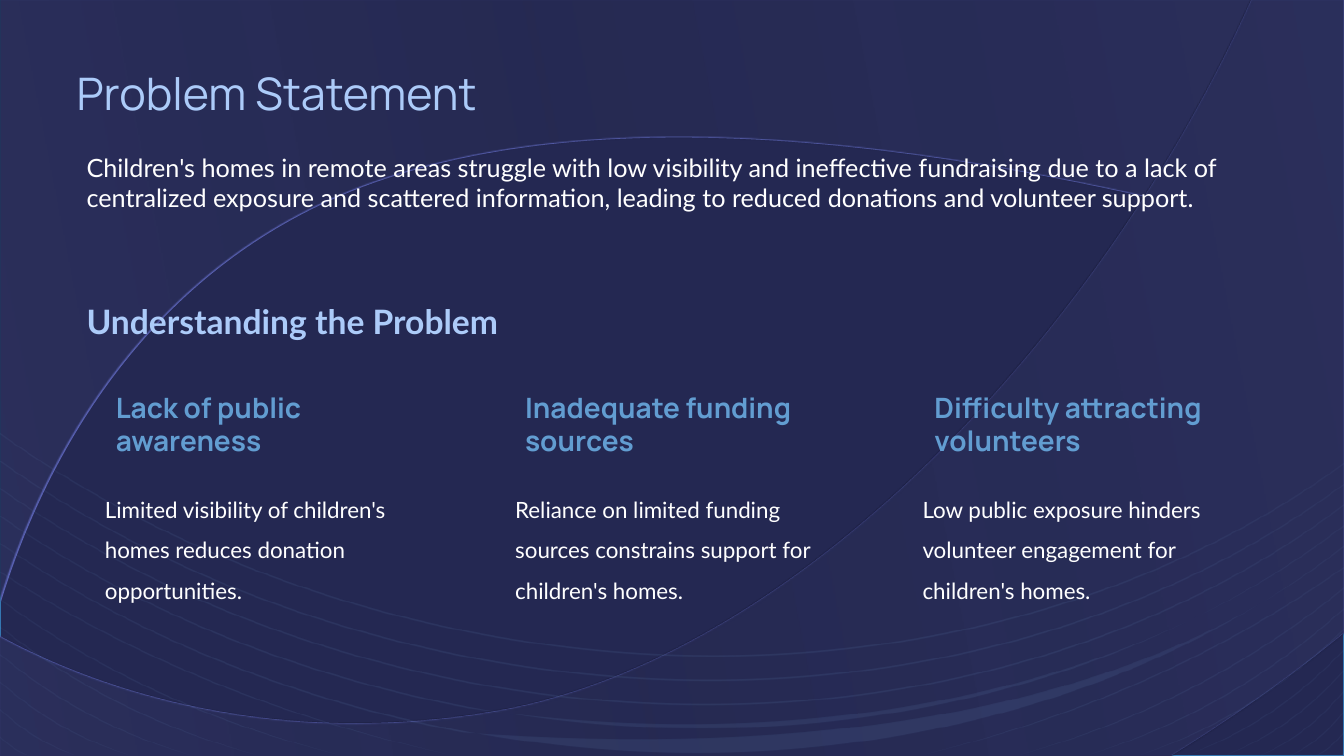
from lxml import etree
from pptx import Presentation
from pptx.dml.color import RGBColor
from pptx.enum.shapes import MSO_SHAPE
from pptx.enum.text import MSO_ANCHOR
from pptx.oxml.ns import qn
from pptx.util import Inches, Pt

NAVY = RGBColor(0x24, 0x28, 0x52)
MIDNIGHT = RGBColor(0x1B, 0x1E, 0x3E)
VIOLET = RGBColor(0x5C, 0x64, 0xB7)
EDGE_BLUE = RGBColor(0x34, 0x77, 0xB2)
SKY = RGBColor(0x7E, 0xB2, 0xE6)
PALE_BLUE = RGBColor(0xAC, 0xCB, 0xF9)
HEADING_BLUE = RGBColor(0x62, 0x9D, 0xD1)
WHITE = RGBColor(0xFF, 0xFF, 0xFF)

WIDTH, HEIGHT = 13.33, 7.5
STRAND = 0.015
VEIL_STOPS = [(0, 75), (56, 83), (100, 75)]
STRAND_STOPS = [(0, 5), (23, 10), (81, 10), (100, 5)]

CAUSES = [
    (1.05, 1.04, "Lack of public awareness",
     "Limited visibility of children's homes reduces donation opportunities."),
    (5.11, 5.11, "Inadequate funding sources",
     "Reliance on limited funding sources constrains support for children's homes."),
    (9.17, 9.15, "Difficulty attracting volunteers",
     "Low public exposure hinders volunteer engagement for children's homes."),
]


def curves(points):
    return [points[i:i + 3] for i in range(1, len(points), 3)]


def thicken(points):
    lower = [(x, min(y + STRAND, HEIGHT)) for x, y in reversed(points)]
    return points[0], curves(points) + [[lower[0]]] + curves(lower)


def long_strand(i):
    return [
        (WIDTH, 4.58 + 0.205 * i),
        (11.17, 6.17 + 0.235 * i), (8.04 - 0.025 * i, 6.89 + 0.245 * i),
        (4.77 - 0.045 * i, 6.28 + 0.242 * i),
        (2.96 - 0.025 * i, 5.94 + 0.245 * i), (1.33 - 0.008 * i, 5.24 + 0.258 * i),
        (0, 4.29 + 0.272 * i)]


def corner_strand(side, y, end):
    run, drop = end - side, HEIGHT - y
    return [(side, y), (side + 0.28 * run, y + 0.45 * drop),
            (side + 0.62 * run, y + 0.8 * drop), (end, HEIGHT)]


def add_text(frame, text, font="Lato", size=18, color=WHITE, bold=False, spacing=None):
    para = frame.paragraphs[0]
    if spacing:
        para.line_spacing = spacing
    span = para.add_run()
    span.text = text
    span.font.name = font
    span.font.size = Pt(size)
    span.font.color.rgb = color
    span.font.bold = bold


class SlideBuilder:
    def __init__(self, page):
        self.page = page
        self.page.background.fill.solid()
        self.page.background.fill.fore_color.rgb = NAVY

    def backdrop(self, fill, line):
        panel = self.page.shapes.add_shape(
            MSO_SHAPE.RECTANGLE, 0, 0, Inches(WIDTH), Inches(HEIGHT))
        panel.shadow.inherit = False
        panel.fill.solid()
        panel.fill.fore_color.rgb = fill
        panel.line.color.rgb = line
        panel.line.width = Pt(1)

    def outline(self, contours, color, stops=None, shift=0):
        builder = None
        for (x, y), segments in contours:
            if builder is None:
                builder = self.page.shapes.build_freeform(Inches(x), Inches(y))
            else:
                builder.move_to(Inches(x), Inches(y))
            ends = [(Inches(x), Inches(y)) for x, y in (part[-1] for part in segments)]
            builder.add_line_segments(ends, close=True)
        shape = builder.convert_to_shape()
        self.bend(shape, [part for _, segments in contours for part in segments])
        shape.left += Inches(shift)
        shape.shadow.inherit = False
        shape.line.fill.background()
        shape.fill.solid()
        shape.fill.fore_color.rgb = color
        if stops:
            self.fade(shape, color, stops)

    def bend(self, shape, segments):
        edges = list(shape.element.spPr.iter(qn("a:lnTo")))
        for edge, segment in zip(edges, segments):
            if len(segment) == 1:
                continue
            curve = etree.Element(qn("a:cubicBezTo"))
            for x, y in segment:
                etree.SubElement(curve, qn("a:pt"), x=str(Inches(x) - shape.left),
                                 y=str(Inches(y) - shape.top))
            edge.getparent().replace(edge, curve)

    def fade(self, shape, color, stops):
        gradient = etree.Element(qn("a:gradFill"), rotWithShape="1")
        stop_list = etree.SubElement(gradient, qn("a:gsLst"))
        for position, opacity in stops:
            stop = etree.SubElement(stop_list, qn("a:gs"), pos=str(position * 1000))
            tint = etree.SubElement(stop, qn("a:srgbClr"), val=str(color))
            etree.SubElement(tint, qn("a:alpha"), val=str(opacity * 1000))
        etree.SubElement(gradient, qn("a:lin"), ang=str(169 * 60000), scaled="0")
        properties = shape.element.spPr
        properties.replace(properties.find(qn("a:solidFill")), gradient)

    def text(self, left, top, width, height, text, inset=True,
             anchor=MSO_ANCHOR.TOP, **style):
        box = self.page.shapes.add_textbox(
            Inches(left), Inches(top), Inches(width), Inches(height))
        frame = box.text_frame
        frame.word_wrap = True
        frame.vertical_anchor = anchor
        if not inset:
            frame.margin_left = frame.margin_right = 0
            frame.margin_top = frame.margin_bottom = 0
        add_text(frame, text, **style)


def draw_background(builder):
    builder.backdrop(NAVY, EDGE_BLUE)
    arch = ((0, 5.97), [
        [(0.42, 4.6), (1.47, 2.5), (3.92, 1.74)],
        [(6.49, 0.94), (10, 1.53), (WIDTH, 2.45)],
        [(WIDTH, 0)], [(0, 0)]])
    sweep = ((0, 6.31), [
        [(1.03, 6.87), (2.75, 7.42), (4.88, 7.06)],
        [(7.88, 6.56), (10.92, 3.32), (12.41, 0)],
        [(WIDTH, 0)], [(WIDTH, 6.28)],
        [(12.84, 6.68), (12.26, 7.1), (11.61, HEIGHT)],
        [(0, HEIGHT)]])
    for contour, shift in ((arch, 0.01), (sweep, 0)):
        builder.outline([contour], VIOLET, shift=shift)
        builder.outline([contour], MIDNIGHT, VEIL_STOPS)

    right_ends = [9.07, 10.04, 10.73, 11.25, 11.72, 12.11, 12.46, 12.76, 13.02, 13.26]
    left_ends = [4.55, 3.44, 2.61, 1.95, 1.34, 0.8, 0.32]
    strands = [long_strand(i) for i in range(5)]
    strands += [corner_strand(WIDTH, 5.61 + 0.203 * i, end)
                for i, end in enumerate(right_ends)]
    strands += [corner_strand(0, 5.66 + 0.272 * i, end)
                for i, end in enumerate(left_ends)]
    builder.outline([thicken(strand) for strand in strands], SKY, STRAND_STOPS)


def main():
    deck = Presentation()
    deck.slide_width, deck.slide_height = Inches(WIDTH), Inches(HEIGHT)
    builder = SlideBuilder(deck.slides.add_slide(deck.slide_layouts[6]))
    draw_background(builder)
    builder.text(0.76, 0.39, 11.81, 0.79, "Problem Statement", inset=False,
                 anchor=MSO_ANCHOR.BOTTOM, font="Manrope", size=32, color=PALE_BLUE)
    builder.text(0.76, 1.46, 11.81, 0.96,
                 "Children's homes in remote areas struggle with low visibility and "
                 "ineffective fundraising due to a lack of centralized exposure and "
                 "scattered information, leading to reduced donations and volunteer support.")
    builder.text(0.76, 2.94, 5.51, 0.5, "Understanding the Problem",
                 size=24, color=PALE_BLUE, bold=True)
    for heading_left, detail_left, heading, detail in CAUSES:
        builder.text(detail_left, 4.79, 3.41, 1.99, detail, inset=False,
                     size=16, spacing=1.5)
        builder.text(heading_left, 3.82, 3.4, 0.77, heading,
                     font="Manrope", size=20, color=HEADING_BLUE, bold=True)
    deck.save("out.pptx")


if __name__ == "__main__":
    main()
